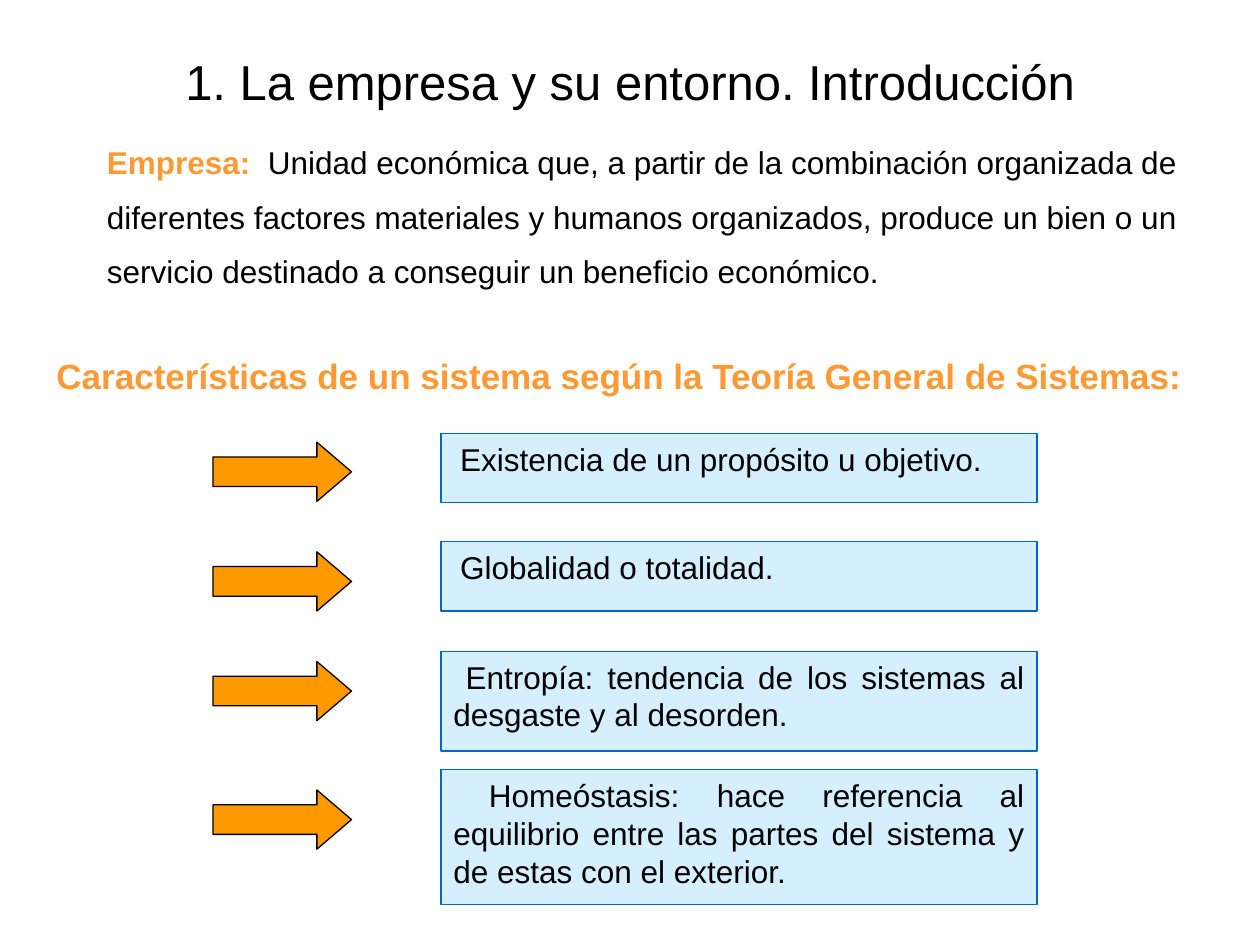
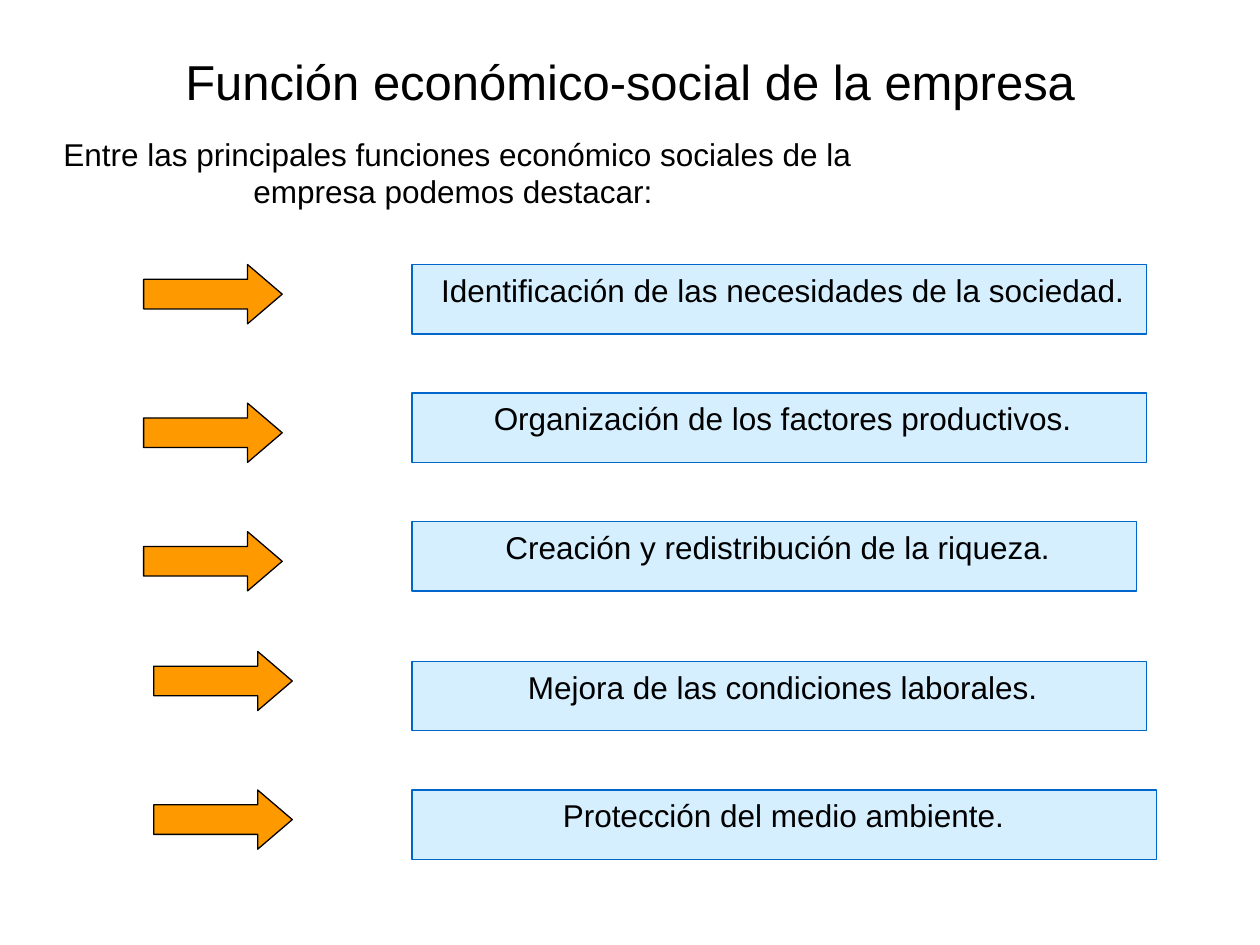
from dataclasses import dataclass

import pptx
import pptx.dml.color
import pptx.enum.shapes
import pptx.enum.text
import pptx.util

Inches = pptx.util.Inches
Align = pptx.enum.text.PP_ALIGN
Anchor = pptx.enum.text.MSO_ANCHOR
AutoSize = pptx.enum.text.MSO_AUTO_SIZE
Shape = pptx.enum.shapes.MSO_SHAPE
TITLE_ONLY = 5


@dataclass(frozen=True)
class Theme:
    font: str = "Arial"
    ink: str = "000000"
    accent: str = "FF9933"
    arrow: str = "FF9900"
    box: str = "D5EFFF"
    box_line: str = "0066CC"
    line_width: float = 0.75
    title_size: int = 28
    heading_size: int = 20
    body_size: int = 18
    indent_size: int = 14


THEME = Theme()
BOX_HEIGHT = 0.55
ARROW_SIZE = (1.1, 0.47)


def rgb(value):
    return pptx.dml.color.RGBColor.from_string(value)


def add_run(paragraph, text, size=THEME.body_size, color=THEME.ink, bold=False):
    run = paragraph.add_run()
    run.text = text
    run.font.name = THEME.font
    run.font.size = pptx.util.Pt(size)
    run.font.bold = bold
    run.font.color.rgb = rgb(color)


def format_frame(frame, align, anchor=Anchor.TOP, inset=0.05):
    """Set wrapping, margins and alignment; return the first paragraph."""
    frame.word_wrap = True
    frame.vertical_anchor = anchor
    frame.margin_left = frame.margin_right = Inches(0.1)
    frame.margin_top = frame.margin_bottom = Inches(inset)
    paragraph = frame.paragraphs[0]
    paragraph.alignment = align
    return paragraph


def add_titled_slide(deck, text):
    slide = deck.slides.add_slide(deck.slide_layouts[TITLE_ONLY])
    title = slide.shapes.title
    title.left, title.top = Inches(0.5), Inches(0.3)
    title.width, title.height = Inches(9), Inches(0.69)
    title.text_frame.auto_size = AutoSize.NONE
    paragraph = format_frame(title.text_frame, Align.CENTER, Anchor.MIDDLE)
    add_run(paragraph, text, THEME.title_size)
    return slide


def add_text(slide, left, top, width, height, align, inset=0.05):
    textbox = slide.shapes.add_textbox(
        Inches(left), Inches(top), Inches(width), Inches(height))
    textbox.text_frame.auto_size = AutoSize.SHAPE_TO_FIT_TEXT
    return format_frame(textbox.text_frame, align, inset=inset)


def add_spaced_text(slide, left, top, width, height, space_before):
    paragraph = add_text(slide, left, top, width, height, Align.LEFT, inset=0.01)
    paragraph.line_spacing = 1.45
    paragraph.space_before = pptx.util.Pt(space_before)
    return paragraph


def add_outlined_shape(slide, kind, left, top, width, height, fill, line):
    shape = slide.shapes.add_shape(
        kind, Inches(left), Inches(top), Inches(width), Inches(height))
    shape.shadow.inherit = False
    shape.fill.solid()
    shape.fill.fore_color.rgb = rgb(fill)
    shape.line.color.rgb = rgb(line)
    shape.line.width = pptx.util.Pt(THEME.line_width)
    return shape


def add_arrow(slide, left, top):
    arrow = add_outlined_shape(slide, Shape.RIGHT_ARROW, left, top, *ARROW_SIZE,
                               THEME.arrow, THEME.ink)
    arrow.adjustments[0] = 0.5
    arrow.adjustments[1] = 0.584


def add_statement(slide, left, top, width, height, text, align):
    box = add_outlined_shape(slide, Shape.FLOWCHART_PROCESS, left, top, width,
                             height, THEME.box, THEME.box_line)
    paragraph = format_frame(box.text_frame, align)
    add_run(paragraph, " ", THEME.indent_size)
    add_run(paragraph, text)


def build_introduction(deck):
    slide = add_titled_slide(deck, "1. La empresa y su entorno. Introducción")

    definition = add_spaced_text(slide, 0.75, 0.99, 8.98, 1.33, 16.9)
    add_run(definition, "Empresa:  ", color=THEME.accent, bold=True)
    add_run(definition,
            "Unidad económica que, a partir de la combinación organizada de "
            "diferentes factores materiales y humanos organizados, produce un "
            "bien o un servicio destinado a conseguir un beneficio económico.")

    heading = add_spaced_text(slide, 0.35, 2.65, 9.14, 0.99, 18.7)
    add_run(heading,
            "Características de un sistema según la Teoría General de Sistemas:",
            THEME.heading_size, THEME.accent, bold=True)

    # Arrow top, box top, box height, text
    characteristics = [
        (3.51, 3.44, BOX_HEIGHT, "Existencia de un propósito u objetivo."),
        (4.38, 4.3, BOX_HEIGHT, "Globalidad o totalidad."),
        (5.25, 5.17, 0.79,
         "Entropía: tendencia de los sistemas al desgaste y al desorden."),
        (6.27, 6.11, 1.07,
         "Homeóstasis: hace referencia al equilibrio entre las partes del "
         "sistema y de estas con el exterior."),
    ]
    for arrow_top, box_top, height, text in characteristics:
        add_arrow(slide, 1.69, arrow_top)
        add_statement(slide, 3.5, box_top, 4.73, height, text, Align.JUSTIFY)


def build_social_function(deck):
    slide = add_titled_slide(deck, "Función económico-social de la empresa")

    lead = add_text(slide, 0.39, 1.02, 6.48, 0.7, Align.CENTER)
    add_run(lead, "Entre las principales funciones económico sociales de la "
                  "empresa podemos destacar: ")

    # Arrow left, arrow top, box top, box width, text
    functions = [
        (1.14, 2.1, 2.1, 5.83, "Identificación de las necesidades de la sociedad."),
        (1.14, 3.2, 3.12, 5.83, "Organización de los factores productivos."),
        (1.14, 4.22, 4.14, 5.75, "Creación y redistribución de la riqueza."),
        (1.22, 5.17, 5.25, 5.83, "Mejora de las condiciones laborales."),
        (1.22, 6.27, 6.27, 5.91, "Protección del medio ambiente. "),
    ]
    for arrow_left, arrow_top, box_top, width, text in functions:
        add_arrow(slide, arrow_left, arrow_top)
        add_statement(slide, 3.27, box_top, width, BOX_HEIGHT, text, Align.CENTER)


def main():
    deck = pptx.Presentation()
    deck.slide_width, deck.slide_height = Inches(10), Inches(7.5)
    build_introduction(deck)
    build_social_function(deck)
    deck.save("out.pptx")


if __name__ == "__main__":
    main()
